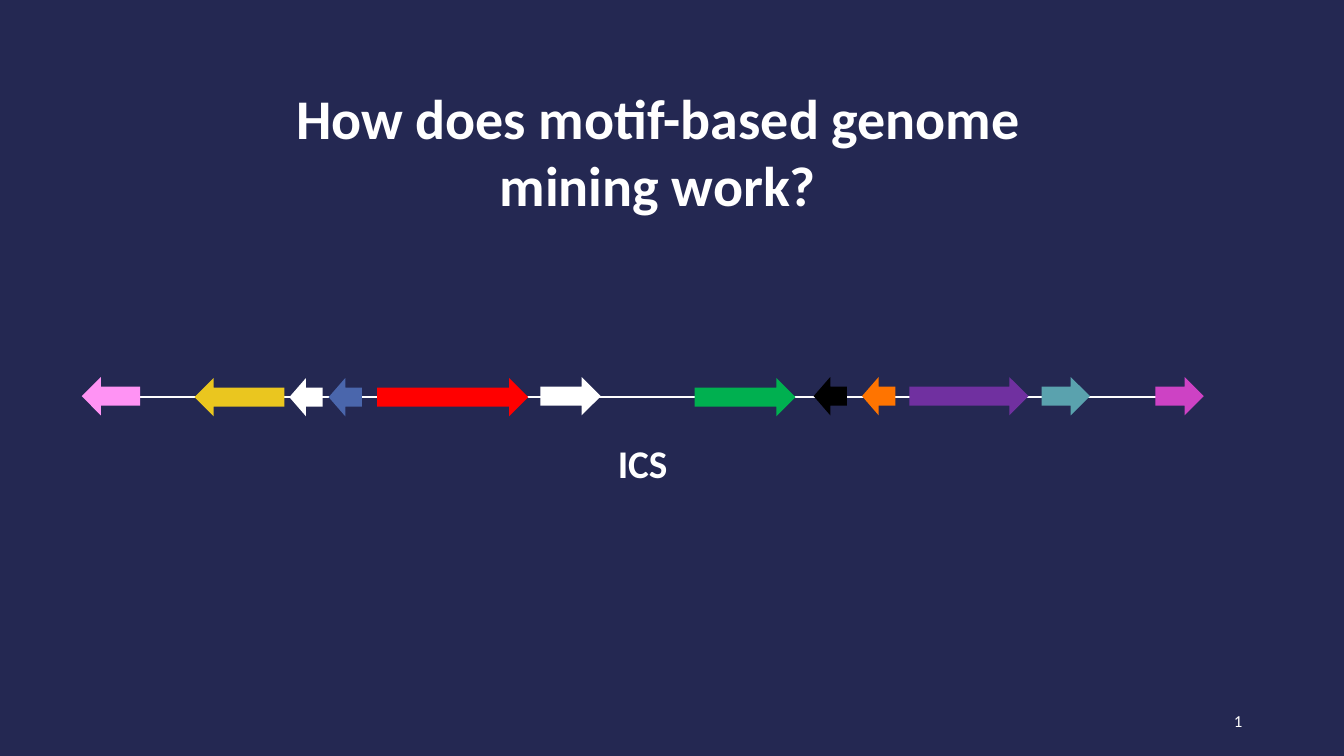
from pptx import Presentation
from pptx.dml.color import RGBColor
from pptx.enum.shapes import MSO_CONNECTOR, MSO_SHAPE
from pptx.enum.text import MSO_ANCHOR, MSO_AUTO_SIZE, PP_ALIGN
from pptx.oxml.ns import qn
from pptx.util import Emu, Pt
from lxml import etree

STRAIGHT = MSO_CONNECTOR.STRAIGHT
LEFT_ARROW, RIGHT_ARROW = MSO_SHAPE.LEFT_ARROW, MSO_SHAPE.RIGHT_ARROW
TOP, MIDDLE = MSO_ANCHOR.TOP, MSO_ANCHOR.MIDDLE
LEFT, CENTER, RIGHT = PP_ALIGN.LEFT, PP_ALIGN.CENTER, PP_ALIGN.RIGHT
NO_AUTOFIT = MSO_AUTO_SIZE.NONE

EMU_PER_PX = 9144
FONT = "Calibri"
GENE_HEIGHT = 38

NAVY = RGBColor(0x24, 0x28, 0x52)
WHITE = RGBColor(0xFF, 0xFF, 0xFF)
BLACK = RGBColor(0x00, 0x00, 0x00)
PINK = RGBColor(0xFF, 0x93, 0xF4)
YELLOW = RGBColor(0xEA, 0xC6, 0x1F)
BLUE = RGBColor(0x4A, 0x66, 0xAC)
RED = RGBColor(0xFF, 0x00, 0x00)
GREEN = RGBColor(0x00, 0xB0, 0x50)
ORANGE = RGBColor(0xFF, 0x74, 0x00)
PURPLE = RGBColor(0x70, 0x30, 0xA0)
TEAL = RGBColor(0x5A, 0xA2, 0xAE)
MAGENTA = RGBColor(0xCD, 0x42, 0xC4)

GENES = [
    (LEFT_ARROW, 81, 374, 58, PINK),
    (LEFT_ARROW, 193, 375, 89, YELLOW),
    (LEFT_ARROW, 287, 375, 33, WHITE),
    (LEFT_ARROW, 326, 375, 33, BLUE),
    (RIGHT_ARROW, 374, 375, 150, RED),
    (RIGHT_ARROW, 536, 374, 60, WHITE),
    (RIGHT_ARROW, 689, 375, 100, GREEN),
    (LEFT_ARROW, 807, 374, 33, BLACK),
    (LEFT_ARROW, 855, 374, 33, ORANGE),
    (RIGHT_ARROW, 902, 374, 118, PURPLE),
    (RIGHT_ARROW, 1033, 374, 48, TEAL),
    (RIGHT_ARROW, 1146, 374, 48, MAGENTA),
]


def px(length):
    return Emu(length * EMU_PER_PX)


def write_text(box, text, size, align, anchor=TOP, bold=False, wrap=True):
    frame = box.text_frame
    frame.text = text
    frame.auto_size = NO_AUTOFIT
    frame.word_wrap = wrap
    frame.vertical_anchor = anchor
    para = frame.paragraphs[0]
    para.alignment = align
    for span in para.runs:
        span.font.name = FONT
        span.font.size = Pt(size)
        span.font.bold = bold
        span.font.color.rgb = WHITE


def add_title(page, text):
    title = page.shapes.title
    title.left, title.top = px(274), px(78)
    title.width, title.height = px(757), px(145)
    write_text(title, text, 40, CENTER, bold=True)


def add_label(page, text, left, top, width, height, size, align, **style):
    box = page.shapes.add_textbox(px(left), px(top), px(width), px(height))
    write_text(box, text, size, align, **style)


def add_strand(page, left, right, y):
    strand = page.shapes.add_connector(STRAIGHT, px(left), px(y), px(right), px(y))
    strand.line.color.rgb = WHITE
    strand.line.width = Pt(1.5)
    etree.SubElement(strand._element.spPr, qn("a:effectLst"))


def add_gene(page, direction, left, top, width, color):
    gene = page.shapes.add_shape(
        direction, px(left), px(top), px(width), px(GENE_HEIGHT))
    gene.shadow.inherit = False
    gene.fill.solid()
    gene.fill.fore_color.rgb = color
    gene.line.fill.background()


def main():
    deck = Presentation()
    deck.slide_width, deck.slide_height = px(1333), px(750)
    page = deck.slides.add_slide(deck.slide_layouts[5])
    page.background.fill.solid()
    page.background.fill.fore_color.rgb = NAVY

    add_title(page, "How does motif-based genome mining work?")
    add_strand(page, 84, 1189, 394)
    for gene in GENES:
        add_gene(page, *gene)
    add_label(page, "ICS", 603, 431, 70, 57, 28, LEFT, bold=True, wrap=False)
    add_label(page, "1", 942, 695, 300, 40, 12, RIGHT, anchor=MIDDLE)
    deck.save("out.pptx")


if __name__ == "__main__":
    main()
